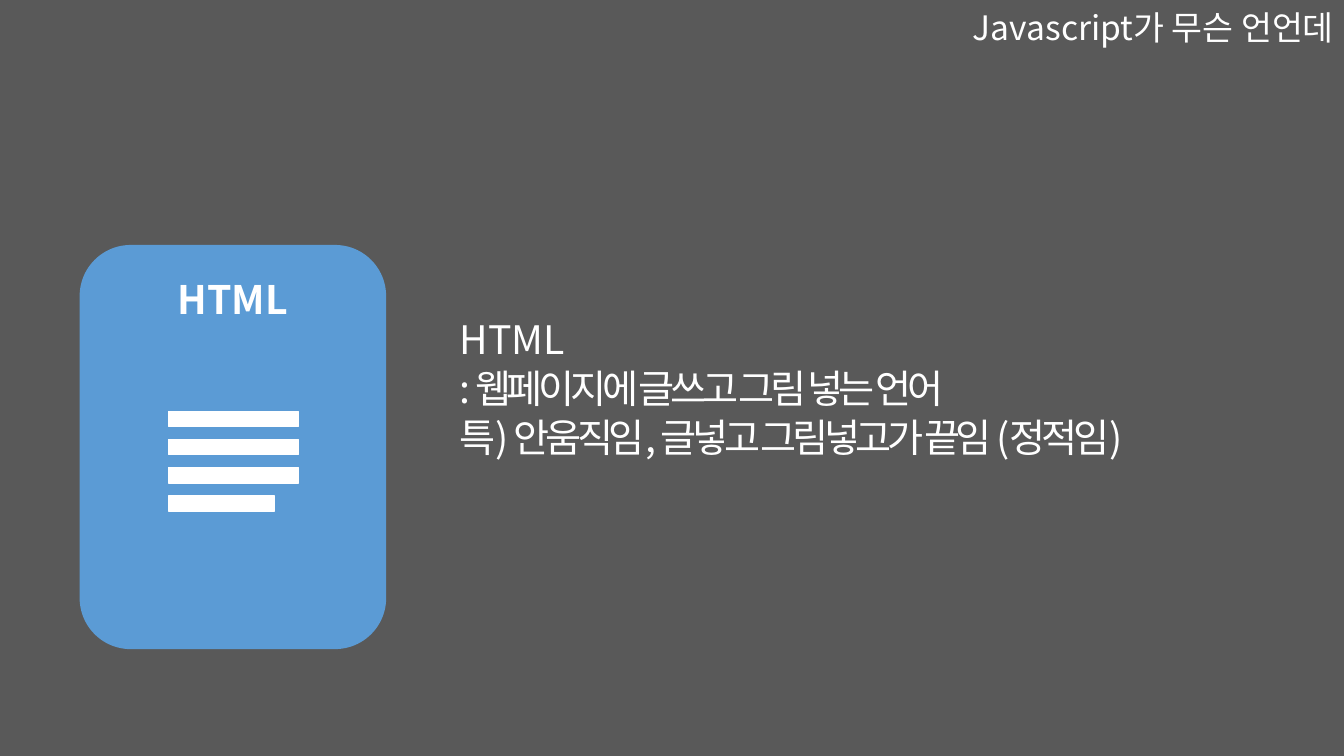
from lxml import etree
from pptx import Presentation
from pptx.dml.color import RGBColor
from pptx.enum.shapes import MSO_SHAPE as Shape
from pptx.enum.text import MSO_ANCHOR as Anchor, MSO_AUTO_SIZE as AutoSize, PP_ALIGN as Align
from pptx.oxml.ns import qn
from pptx.util import Inches, Pt

GRAY = RGBColor(0x59, 0x59, 0x59)
BLUE = RGBColor(0x5B, 0x9B, 0xD5)
WHITE = RGBColor(0xFF, 0xFF, 0xFF)
FONT = "Noto Sans CJK KR"


class SlideBuilder:
    """Holds the style and the current page, and adds each kind of element."""

    def __init__(self, deck):
        self.page = deck.slides.add_slide(deck.slide_layouts[1])
        background = self.page.background.fill
        background.solid()
        background.fore_color.rgb = GRAY

    def style(self, para, size, bold=False, spacing=0):
        for span in para.runs:
            span.font.size = Pt(size)
            span.font.bold = bold
            span.font.name = FONT
            span.font.color.rgb = WHITE
            properties = span.font._element
            etree.SubElement(properties, qn("a:ea")).set("typeface", FONT)
            if spacing:
                properties.set("spc", str(spacing * 100))

    def placeholder(self, box, area, lines, size, align):
        box.left, box.top, box.width, box.height = map(Inches, area)
        frame = box.text_frame
        frame.text = "\n".join(lines)
        frame.word_wrap = True
        frame.auto_size = AutoSize.NONE
        frame.vertical_anchor = Anchor.TOP
        for index, para in enumerate(frame.paragraphs):
            properties = para._p.get_or_add_pPr()
            properties.set("marL", "0")
            properties.set("indent", "0")
            etree.SubElement(properties, qn("a:buNone"))
            para.alignment = align
            para.line_spacing = 0.8
            para.space_before = Pt(8 if index else 0)
            self.style(para, size, spacing=-3 if index else 0)

    def block(self, kind, area, color):
        box = self.page.shapes.add_shape(kind, *map(Inches, area))
        box.shadow.inherit = False
        box.fill.solid()
        box.fill.fore_color.rgb = color
        box.line.fill.background()
        return box

    def card(self, area, label):
        frame = self.block(Shape.ROUNDED_RECTANGLE, area, BLUE).text_frame
        frame.text = label
        frame.vertical_anchor = Anchor.TOP
        frame.margin_top = Inches(0.15)
        frame.paragraphs[0].alignment = Align.CENTER
        self.style(frame.paragraphs[0], 28, bold=True)

    def bar(self, area):
        box = self.block(Shape.RECTANGLE, area, WHITE)
        box.line.color.rgb = WHITE
        box.line.width = Pt(1)


def main():
    deck = Presentation()
    deck.slide_width, deck.slide_height = Inches(13.33), Inches(7.5)
    builder = SlideBuilder(deck)
    title, body = builder.page.placeholders
    builder.card((0.79, 2.43, 3.04, 4.01), "HTML")
    builder.placeholder(title, (6.13, 0.1, 7.2, 1.18),
                        ["Javascript가 무슨 언언데"], 24, Align.RIGHT)
    builder.placeholder(body, (4.46, 3.17, 7.95, 2.17), [
        "HTML",
        ": 웹페이지에 글쓰고 그림 넣는 언어",
        "특) 안움직임, 글넣고 그림넣고가 끝임 (정적임)",
    ], 28, Align.LEFT)
    for row, width in enumerate((1.29, 1.29, 1.29, 1.05)):
        builder.bar((1.67, 4.08 + row * 0.28, width, 0.15))
    deck.save("out.pptx")


if __name__ == "__main__":
    main()
